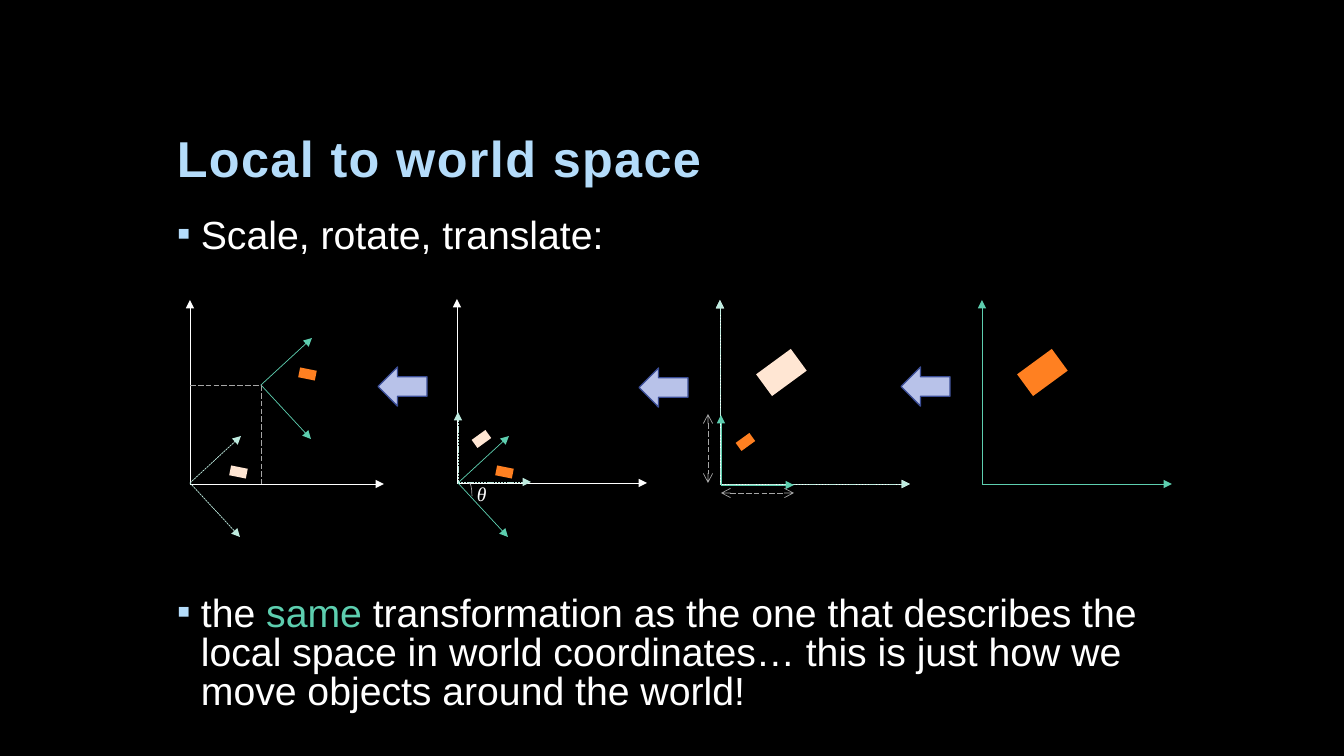
from dataclasses import dataclass
from lxml.etree import SubElement as Sub
from pptx import Presentation
from pptx.dml.color import RGBColor as RGB
from pptx.enum.dml import MSO_LINE as Dash
from pptx.enum.shapes import MSO_CONNECTOR as Link, MSO_SHAPE as Form
from pptx.enum.text import MSO_ANCHOR as Anchor
from pptx.oxml.ns import qn
from pptx.util import Pt


@dataclass(frozen=True)
class Theme:
    back: str = "000000"
    text: str = "FFFFFF"
    head: str = "B4DCFA"
    green: str = "5DCEAF"
    mint: str = "BEEBDF"
    gray: str = "A6A6A6"
    solid: str = "FF8021"
    ghost: str = "FFE6D3"
    step: str = "B8C2E9"
    edge: str = "3A4C94"
    sans: str = "Arial"
    serif: str = "Times New Roman"
    title: int = 36
    body: int = 28
    label: int = 14
    thin: float = 0.5


def px(n):
    return round(n * 914400 / 100.8)


def write(para, text, *, size, color, font, bold=False, italic=False, gap=0):
    run = para.add_run()
    run.text = text
    face = run.font
    face.size, face.name = Pt(size), font
    face.bold, face.italic = bold, italic
    face.color.rgb = RGB.from_string(color)
    if gap:
        run._r.get_or_add_rPr().set("spc", str(gap * 100))


class Board:
    def __init__(self, slide, theme):
        self.slide, self.theme = slide, theme
        fill = slide.background.fill
        fill.solid()
        fill.fore_color.rgb = RGB.from_string(theme.back)

    def box(self, x, y, w, h, anchor=Anchor.TOP, wrap=True):
        frame = self.slide.shapes.add_textbox(px(x), px(y), px(w), px(h)).text_frame
        frame.word_wrap, frame.vertical_anchor = wrap, anchor
        return frame

    def bullet(self, para):
        props = para._p.get_or_add_pPr()
        props.set("marL", str(px(24)))
        props.set("indent", str(-px(24)))
        tint = Sub(props, qn("a:buClr"))
        Sub(tint, qn("a:srgbClr")).set("val", self.theme.head)
        Sub(props, qn("a:buFont")).set("typeface", self.theme.sans)
        Sub(props, qn("a:buChar")).set("char", "▪")
        para.line_spacing = 0.83

    def line(self, x, y, dx, dy, color, dash=None, head=None, tail=None):
        link = self.slide.shapes.add_connector(
            Link.STRAIGHT, px(x), px(y), px(x + dx), px(y + dy))
        link.line.width = Pt(self.theme.thin)
        link.line.color.rgb = RGB.from_string(color)
        if dash:
            link.line.dash_style = dash
        edge = link.line._get_or_add_ln()
        for tag, kind in (("a:headEnd", head), ("a:tailEnd", tail)):
            if kind:
                Sub(edge, qn(tag)).set("type", kind)
        Sub(link._element.spPr, qn("a:effectLst"))

    def axes(self, x, y, arms, color, dash=None):
        for dx, dy in arms:
            self.line(x, y, dx, dy, color, dash, tail="triangle")

    def shape(self, form, x, y, w, h, fill=None, edge=None, width=1, turn=0):
        item = self.slide.shapes.add_shape(form, px(x), px(y), px(w), px(h))
        item.shadow.inherit = False
        item.rotation = turn
        if fill:
            item.fill.solid()
            item.fill.fore_color.rgb = RGB.from_string(fill)
        else:
            item.fill.background()
        if edge:
            item.line.color.rgb = RGB.from_string(edge)
            item.line.width = Pt(width)
        else:
            item.line.fill.background()

    def small(self, x, y, fill, turn):
        self.shape(Form.RECTANGLE, x, y, 17, 10, fill, turn=turn)

    def large(self, x, y, fill):
        self.shape(Form.RECTANGLE, x, y, 43, 27, fill, turn=323.8)

    def step(self, x, y):
        self.shape(Form.LEFT_ARROW, x, y, 49, 39, self.theme.step, self.theme.edge)


def main():
    deck = Presentation()
    deck.slide_width, deck.slide_height = px(1344), px(756)
    look = Theme()
    board = Board(deck.slides.add_slide(deck.slide_layouts[6]), look)

    # Title
    para = board.box(167, 42, 1008, 151, Anchor.BOTTOM).paragraphs[0]
    para.line_spacing = 0.9
    write(para, "Local to world space", size=look.title, color=look.head,
          font=look.sans, bold=True, gap=1)

    # Bullets, set apart to leave room for the diagrams
    frame = board.box(167, 213, 1007, 525)
    first, last = frame.paragraphs[0], frame.add_paragraph()
    for para, parts in (
        (first, [("Scale, rotate, translate:", look.text)]),
        (last, [("the ", look.text), ("same", look.green),
                (" transformation as the one that describes the local space in world"
                 " coordinates… this is just how we move objects around the world!",
                 look.text)]),
    ):
        board.bullet(para)
        for text, color in parts:
            write(para, text, size=look.body, color=color, font=look.sans)
    last.space_before = Pt(242)

    # Arms of each kind of frame: full, scaled, then rotated
    full = (0, -184), (190, 0)
    short = (0, -70), (73, 0)
    tilted = (51, -47), (50, 54)
    turn, lean = 11.3, 324.1

    # Translated
    board.axes(261, 385, tilted, look.green)
    board.small(299, 369, look.solid, turn)
    board.axes(190, 484, ((0, -184), (194, 0)), look.text)
    board.line(190, 385, 71, 0, look.gray, Dash.LONG_DASH)
    board.line(261, 385, 0, 99, look.gray, Dash.LONG_DASH)
    board.axes(190, 483, tilted, look.mint, Dash.SQUARE_DOT)
    board.small(230, 467, look.ghost, turn)
    board.step(378, 367)

    # Rotated
    board.axes(457, 483, full, look.text)
    board.axes(458, 483, tilted, look.green)
    board.small(496, 467, look.solid, turn)
    para = board.box(467, 477, 29, 34, wrap=False).paragraphs[0]
    write(para, "θ", size=look.label, color=look.text, font=look.serif, italic=True)
    board.shape(Form.ARC, 467, 483, 5, 27, edge=look.gray, width=look.thin)
    board.axes(458, 482, short, look.mint, Dash.SQUARE_DOT)
    board.small(473, 434, look.ghost, lean)
    board.step(639, 368)

    # Scaled
    board.axes(720, 484, full, look.text)
    board.axes(720, 484, full, look.mint, Dash.SQUARE_DOT)
    board.axes(721, 485, short, look.green)
    board.small(737, 437, look.solid, lean)
    board.large(760, 359, look.ghost)
    for x, y, dx, dy in ((708, 414, 0, 69), (721, 493, 73, 0)):
        board.line(x, y, dx, dy, look.gray, Dash.LONG_DASH, "arrow", "arrow")
    board.step(901, 367)

    # Local
    board.axes(982, 484, full, look.green)
    board.large(1021, 359, look.solid)

    deck.save("out.pptx")


if __name__ == "__main__":
    main()
